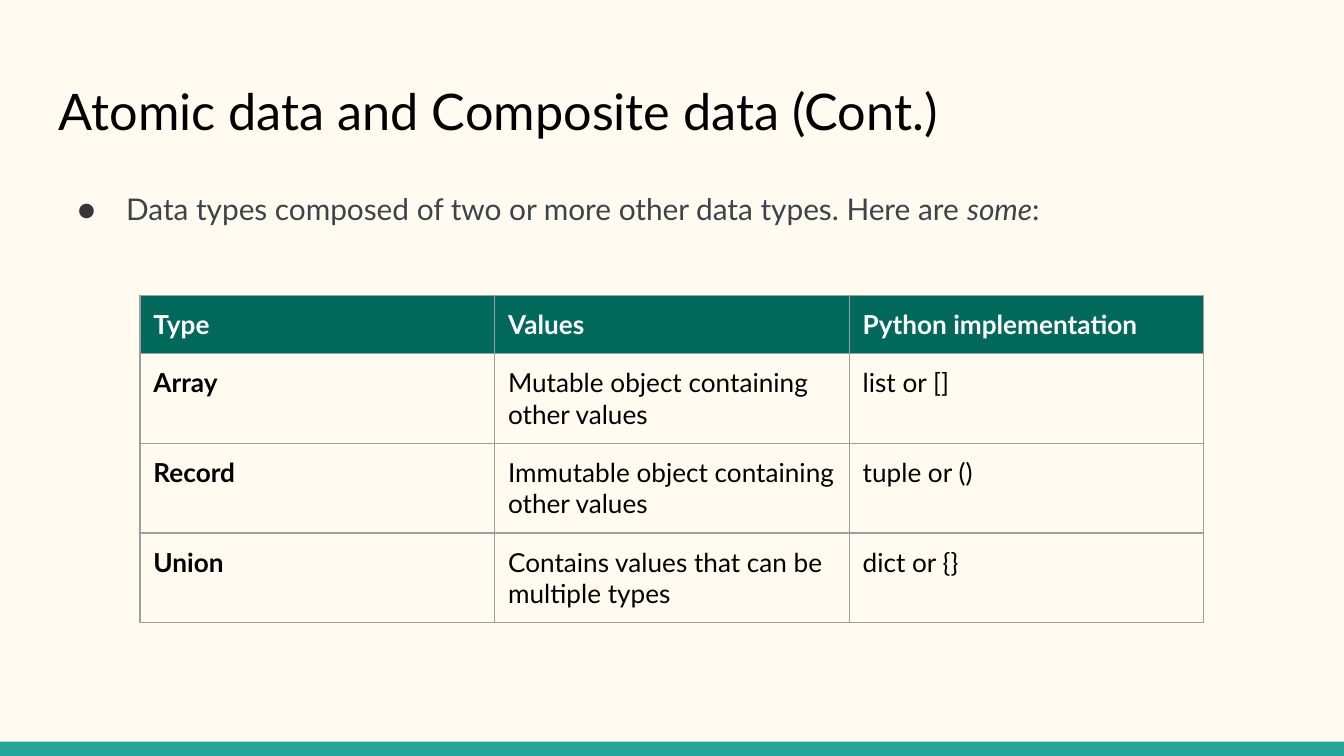
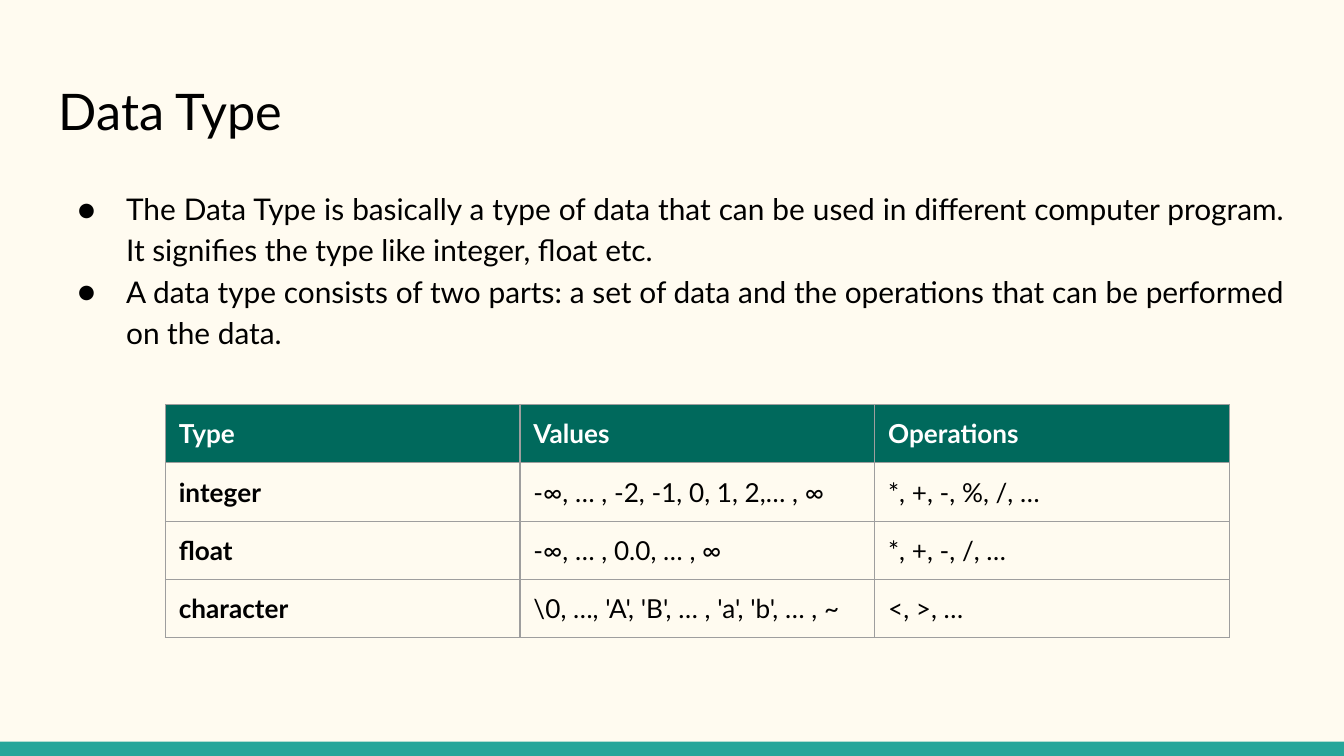
"""Build two slides on data types, each with a title, bullets and a table."""
from lxml import etree
from pptx import Presentation
from pptx.dml.color import RGBColor
from pptx.enum import shapes, text
from pptx.oxml import ns
from pptx.util import Pt

CREAM = RGBColor(0xFF, 0xFB, 0xF0)
TEAL = RGBColor(0x26, 0xA6, 0x9A)
DARK_TEAL = RGBColor(0x00, 0x69, 0x5C)
GREY = RGBColor(0x9E, 0x9E, 0x9E)
SLATE = RGBColor(0x3E, 0x43, 0x49)
PLUM = RGBColor(0x3A, 0x34, 0x3A)
BLACK = RGBColor(0, 0, 0)
WHITE = RGBColor(0xFF, 0xFF, 0xFF)

FONT = "Lato"
WIDTH, HEIGHT = 720, 405
BAND_TOP = 397.4
LEFT, BOX_WIDTH = 24.5, 671
INSET = Pt(7.2)
COL_WIDTH, ROW_HEIGHT = 190, 30.2

SLIDES = [
    {
        "title": "Atomic data and Composite data (Cont.)",
        "bullets": [[
            ("Data types composed of two or more other data types. Here are ", False),
            ("some", True),
            (":", False),
        ]],
        "color": SLATE,
        "bullet_color": PLUM,
        "table_at": (75, 158.2),
        "rows": [
            ("Type", "Values", "Python implementation"),
            ("Array", "Mutable object containing other values", "list or []"),
            ("Record", "Immutable object containing other values", "tuple or ()"),
            ("Union", "Contains values that can be multiple types", "dict or {}"),
        ],
    },
    {
        "title": "Data Type",
        "bullets": [
            [("The Data Type is basically a type of data that can be used in different "
              "computer program. It signifies the type like integer, float etc.", False)],
            [("A data type consists of two parts: a set of data and the operations "
              "that can be performed on the data.", False)],
        ],
        "color": BLACK,
        "bullet_color": BLACK,
        "table_at": (88.6, 216.7),
        "rows": [
            ("Type", "Values", "Operations"),
            ("integer", "-∞, … , -2, -1, 0, 1, 2,… , ∞", "*, +, -, %, /, …"),
            ("float", "-∞, … , 0.0, … , ∞", "*, +, -, /, …"),
            ("character", r"\0, …, 'A', 'B', … , 'a', 'b', … , ~", "<, >, …"),
        ],
    },
]


def add_run(p, words, size, color, bold=False, italic=False):
    r = p.add_run()
    r.text = words
    r.font.name = FONT
    r.font.size = Pt(size)
    r.font.color.rgb = color
    r.font.bold = bold
    r.font.italic = italic


def add_box(s, top, height, anchor):
    tf = s.shapes.add_textbox(Pt(LEFT), Pt(top), Pt(BOX_WIDTH), Pt(height)).text_frame
    tf.word_wrap = True
    tf.vertical_anchor = anchor
    tf.margin_left = tf.margin_right = tf.margin_top = tf.margin_bottom = INSET
    return tf


prs = Presentation()
prs.slide_width, prs.slide_height = Pt(WIDTH), Pt(HEIGHT)
fill = prs.slide_master.background.fill
fill.solid()
fill.fore_color.rgb = CREAM

for content in SLIDES:
    s = prs.slides.add_slide(prs.slide_layouts[6])

    band = s.shapes.add_shape(shapes.MSO_SHAPE.RECTANGLE, 0, Pt(BAND_TOP),
                              Pt(WIDTH), Pt(HEIGHT - BAND_TOP))
    band.shadow.inherit = False
    band.fill.solid()
    band.fill.fore_color.rgb = TEAL
    band.line.fill.background()

    tf = add_box(s, 35.3, 48.2, text.MSO_ANCHOR.MIDDLE)
    add_run(tf.paragraphs[0], content["title"], 27, BLACK)

    tf = add_box(s, 92.2, 267.8, text.MSO_ANCHOR.TOP)
    for i, runs in enumerate(content["bullets"]):
        p = tf.add_paragraph() if i else tf.paragraphs[0]
        pPr = p._p.get_or_add_pPr()
        pPr.set("marL", str(Pt(36)))
        pPr.set("indent", str(Pt(-26)))
        bullet_color = etree.SubElement(pPr, ns.qn("a:buClr"))
        etree.SubElement(bullet_color, ns.qn("a:srgbClr"), val=str(content["bullet_color"]))
        etree.SubElement(pPr, ns.qn("a:buFont"), typeface=FONT)
        etree.SubElement(pPr, ns.qn("a:buChar"), char="●")
        p.alignment = text.PP_ALIGN.JUSTIFY
        p.line_spacing = 1.15
        for words, italic in runs:
            add_run(p, words, 16, content["color"], italic=italic)

    rows = content["rows"]
    left, top = content["table_at"]
    table = s.shapes.add_table(len(rows), len(rows[0]), Pt(left), Pt(top),
                               Pt(COL_WIDTH * len(rows[0])),
                               Pt(ROW_HEIGHT * len(rows))).table
    table.first_row = table.horz_banding = False
    for i, row in enumerate(rows):
        for j, words in enumerate(row):
            cell = table.cell(i, j)
            cell.margin_left = cell.margin_right = INSET
            cell.margin_top = cell.margin_bottom = INSET
            tcPr = cell._tc.get_or_add_tcPr()
            for side in ("lnL", "lnR", "lnT", "lnB"):
                ln = etree.SubElement(tcPr, ns.qn("a:" + side), w=str(Pt(0.75)))
                solid = etree.SubElement(ln, ns.qn("a:solidFill"))
                etree.SubElement(solid, ns.qn("a:srgbClr"), val=str(GREY))
            if i == 0:
                cell.fill.solid()
                cell.fill.fore_color.rgb = DARK_TEAL
            else:
                cell.fill.background()
            add_run(cell.text_frame.paragraphs[0], words, 14,
                    BLACK if i else WHITE, bold=i == 0 or j == 0)

prs.save("out.pptx")
